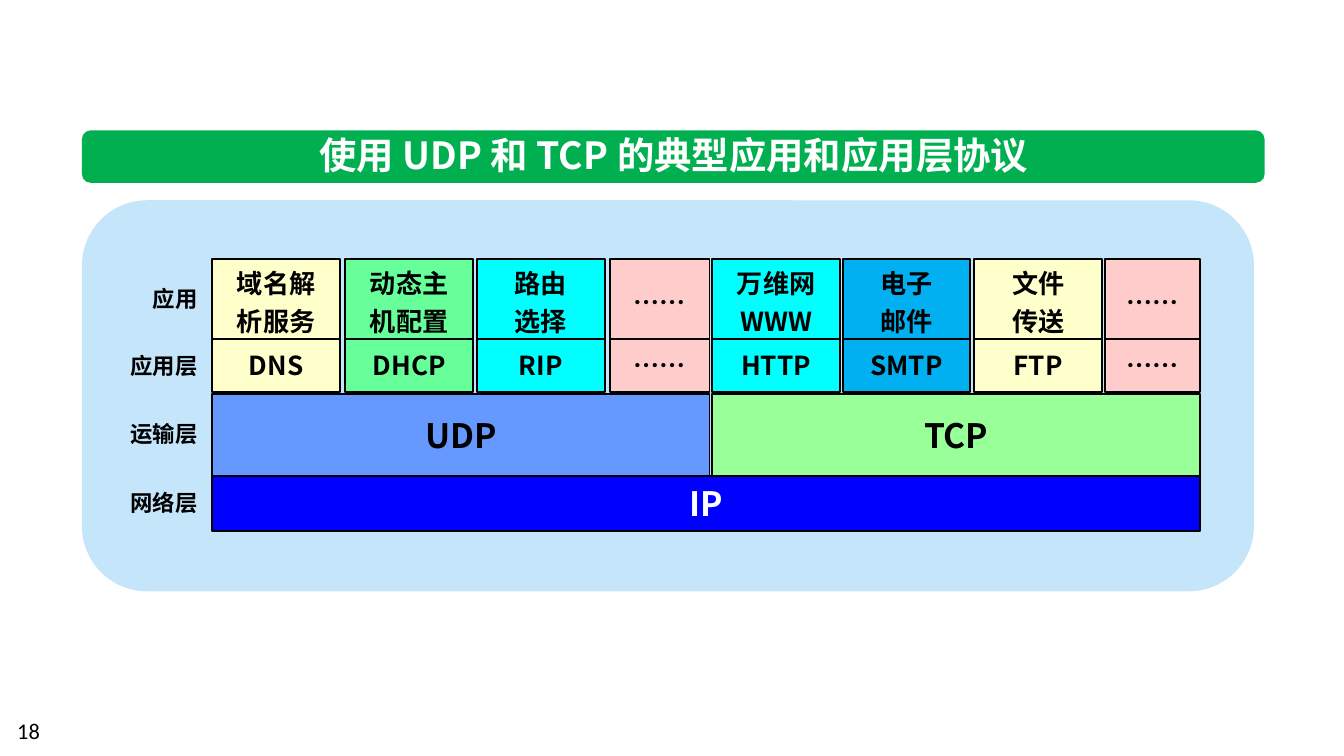
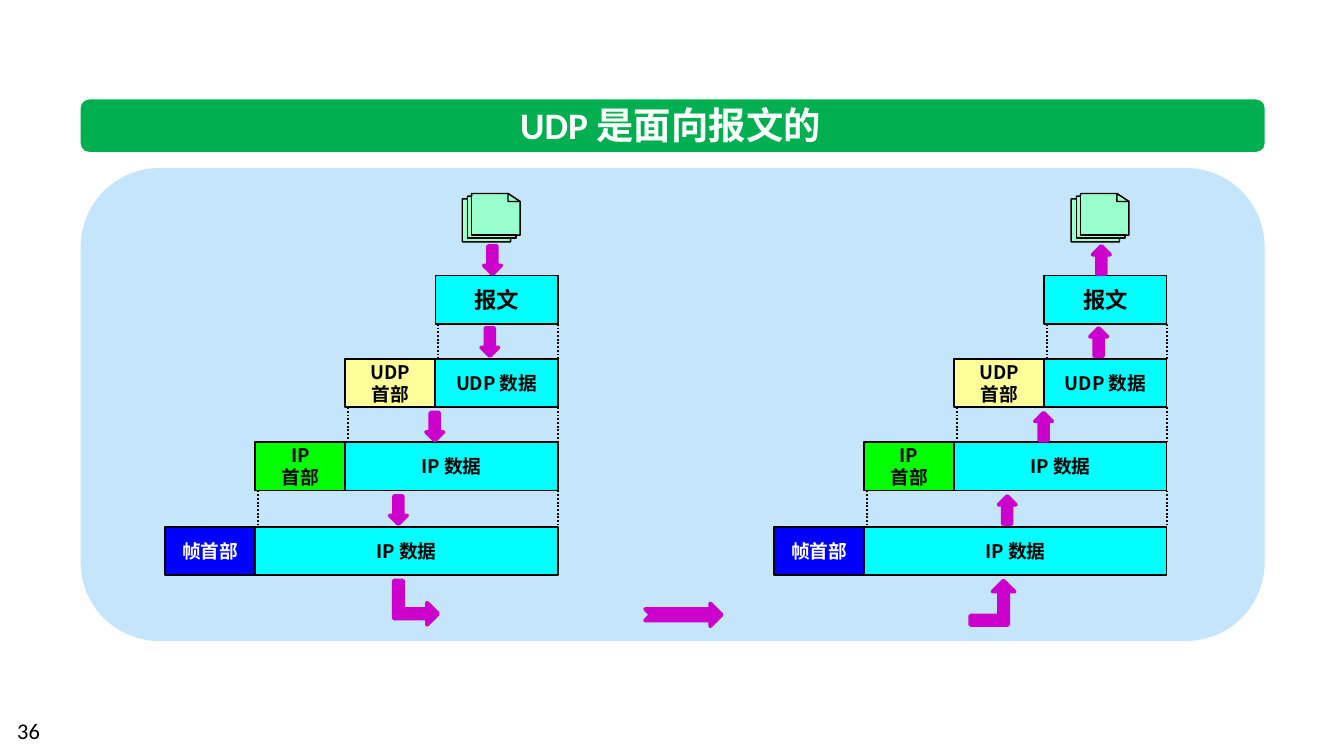
"""Build two slides on UDP: its place in the protocol stack and its message-oriented encapsulation."""
import lxml.etree
import pptx
import pptx.dml.color
import pptx.enum.dml
import pptx.enum.shapes
import pptx.enum.text
import pptx.oxml.ns
import pptx.util

PX = 9144
CJK = "Noto Sans CJK SC"
COLOURS = {
    "black": "000000", "white": "FFFFFF", "band": "00B050", "panel": "C5E5FB",
    "blue": "0000FF", "sky": "00B0F0", "cyan": "00FFFF", "periwinkle": "6699FF",
    "cream": "FFFFCC", "yellow": "FFFF99", "pink": "FFCCCC", "mint": "66FF99",
    "leaf": "99FF99", "lime": "00FF00", "paper": "99FFCC", "magenta": "CC00CC",
}
RGB = {name: pptx.dml.color.RGBColor.from_string(code) for name, code in COLOURS.items()}
SHAPE = pptx.enum.shapes.MSO_SHAPE
ALIGN = pptx.enum.text.PP_ALIGN
ANCHOR = pptx.enum.text.MSO_ANCHOR


def write(frame, text, size, colour="black", font=CJK, bold=True, align=ALIGN.CENTER,
          anchor=ANCHOR.MIDDLE, inset=10, inset_y=0, leading=None):
    """Fill a text frame, one paragraph per line of text."""
    frame_format = {
        "word_wrap": True, "auto_size": pptx.enum.text.MSO_AUTO_SIZE.NONE, "vertical_anchor": anchor,
        "margin_left": inset * PX, "margin_right": inset * PX,
        "margin_top": inset_y * PX, "margin_bottom": inset_y * PX,
    }
    for name, value in frame_format.items():
        setattr(frame, name, value)
    for number, line in enumerate(text.split("\n")):
        paragraph = frame.add_paragraph() if number else frame.paragraphs[0]
        paragraph.alignment = align
        if leading:
            paragraph.line_spacing = pptx.util.Pt(leading)
        run = paragraph.add_run()
        run.text = line
        run.font.color.rgb = RGB[colour]
        for name, value in {"size": pptx.util.Pt(size), "bold": bold, "name": font}.items():
            setattr(run.font, name, value)
        east_asian = lxml.etree.SubElement(run._r.get_or_add_rPr(), pptx.oxml.ns.qn("a:ea"))
        east_asian.set("typeface", CJK)


def draw(shapes, kind, at, fill, line=None, width=1):
    """Add a preset shape at (left, top, width, height) px."""
    shape = shapes.add_shape(kind, *[length * PX for length in at])
    shape.shadow.inherit = False
    shape.fill.solid()
    shape.fill.fore_color.rgb = RGB[fill]
    if line:
        shape.line.color.rgb = RGB[line]
        shape.line.width = pptx.util.Pt(width)
    else:
        shape.line.fill.background()
    return shape


deck = pptx.Presentation()
deck.slide_width = 1000 * PX
deck.slide_height = deck.slide_width * 9 // 16

pages = [
    ("使用 UDP 和 TCP 的典型应用和应用层协议", CJK, (220, 93, 563, 44),
     (61, 97, 880, 39), (61, 149, 872, 291), "18"),
    ("UDP 是面向报文的", "Calibri", (373, 71, 252, 44),
     (60, 74, 881, 39), (60, 125, 881, 352), "36"),
]
slides = []
for heading, heading_font, heading_at, band_at, panel_at, page_number in pages:
    slide = deck.slides.add_slide(deck.slide_layouts[5])
    title = slide.shapes.title
    for side, length in zip(("left", "top", "width", "height"), heading_at):
        setattr(title, side, length * PX)
    write(title.text_frame, heading, 20, "white", heading_font, inset=0)
    band = draw(slide.shapes, SHAPE.ROUNDED_RECTANGLE, band_at, "band")
    title._element.addprevious(band._element)
    draw(slide.shapes, SHAPE.ROUNDED_RECTANGLE, panel_at, "panel")
    footer = slide.shapes.add_textbox(3 * PX, 529 * PX, 233 * PX, 30 * PX)
    write(footer.text_frame, page_number, 12, font="Calibri", bold=False,
          align=ALIGN.LEFT, anchor=ANCHOR.TOP, inset_y=5)
    slides.append(slide)
stack_slide, message_slide = slides

network = draw(stack_slide.shapes, SHAPE.RECTANGLE, (158, 354, 735, 41), "blue", "black")
write(network.text_frame, "IP", 18, "white")

transports = [
    ("TCP", "leaf", 530, 893, 97.4, [
        ("万维网\nWWW", "HTTP", "cyan"), ("电子\n邮件", "SMTP", "sky"),
        ("文件\n传送", "FTP", "cream"), ("……", "……", "pink")]),
    ("UDP", "periwinkle", 158, 528, 98.7, [
        ("域名解析服务", "DNS", "cream"), ("动态主机配置", "DHCP", "mint"),
        ("路由\n选择", "RIP", "cyan"), ("……", "……", "pink")]),
]
for transport, transport_fill, left, right, pitch, applications in transports:
    stack = stack_slide.shapes.add_group_shape().shapes
    layer = draw(stack, SHAPE.RECTANGLE, (left, 293, right - left, 61), transport_fill, "black")
    write(layer.text_frame, transport, 18)
    for column, (application, protocol, fill) in enumerate(applications):
        x = left + round(pitch * column)
        width = min(95, right - x)
        protocol_cell = draw(stack, SHAPE.RECTANGLE, (x, 251, width, 41), fill, "black")
        write(protocol_cell.text_frame, protocol, 14)
        application_cell = draw(stack, SHAPE.RECTANGLE, (x, 193, width, 59), fill, "black")
        write(application_cell.text_frame, application, 14, leading=20)

for label, top in (("运输层", 308), ("网络层", 359), ("应用层", 257), ("应用", 207)):
    layer_label = stack_slide.shapes.add_textbox(69 * PX, top * PX, 88 * PX, 30 * PX)
    write(layer_label.text_frame, label, 12, align=ALIGN.RIGHT)

DATA_RIGHT, HEADER_WIDTH, ROW_HEIGHT, ROW_GAP = 415, 67, 36, 26
rows = [
    (205, 324, "报文", 12, None),
    (267, 324, "UDP 数据", 10, ("UDP\n首部", "yellow", "black")),
    (329, 257, "IP 数据", 10, ("IP\n首部", "lime", "black")),
    (392, 190, "IP 数据", 10, ("帧首部", "blue", "white")),
]
paper_outlines = [
    [(387, 150), (387, 175), (384, 175), (384, 177), (380, 177), (380, 180), (344, 180),
     (344, 148), (348, 148), (348, 146), (351, 146), (351, 144), (378, 144)],
    [(380, 177), (348, 177), (348, 146), (351, 146), (351, 175), (384, 175), (384, 177)],
    [(387, 150), (378, 150), (378, 144)],
]
hosts = [
    (0, SHAPE.DOWN_ARROW, 293, 90),
    (453, SHAPE.UP_ARROW, 722, 0),
]
for shift, arrow_kind, turn_left, turn_angle in hosts:
    host = message_slide.shapes.add_group_shape().shapes
    for outline in paper_outlines:
        points = [(x + shift, y) for x, y in outline]
        builder = host.build_freeform(*points[0], scale=PX)
        builder.add_line_segments(points[1:], close=True)
        paper = builder.convert_to_shape()
        paper.shadow.inherit = False
        paper.fill.solid()
        paper.fill.fore_color.rgb = RGB["paper"]
        paper.line.color.rgb = RGB["black"]
        paper.line.width = pptx.util.Pt(0.75)

    for top, left, content, size, header in rows:
        data_at = (left + shift, top, DATA_RIGHT - left, ROW_HEIGHT)
        data = draw(host, SHAPE.RECTANGLE, data_at, "cyan", "black")
        write(data.text_frame, content, size)
        outer_left = left
        if header:
            header_text, header_fill, header_colour = header
            outer_left = left - HEADER_WIDTH
            header_at = (outer_left + shift, top, HEADER_WIDTH, ROW_HEIGHT)
            header_cell = draw(host, SHAPE.RECTANGLE, header_at, header_fill, "black")
            write(header_cell.text_frame, header_text, 10, header_colour, leading=12)
        if top == rows[-1][0]:
            continue
        y = top + ROW_HEIGHT
        for x in (outer_left + 2 + shift, DATA_RIGHT + shift):
            guide = host.add_connector(pptx.enum.shapes.MSO_CONNECTOR.STRAIGHT,
                                       x * PX, y * PX, x * PX, (y + ROW_GAP) * PX)
            guide.line.color.rgb = RGB["black"]
            guide.line.width = pptx.util.Pt(1)
            guide.line.dash_style = pptx.enum.dml.MSO_LINE.ROUND_DOT
            lxml.etree.SubElement(guide._element.spPr, pptx.oxml.ns.qn("a:effectLst"))

    for x, y in ((360, 183), (358, 244), (317, 307), (290, 369)):
        draw(host, arrow_kind, (x + shift, y, 13, 21), "magenta", "magenta", 2)
    turn = draw(host, SHAPE.BENT_UP_ARROW, (turn_left, 432, 33, 33), "magenta", "magenta", 2)
    turn.rotation = turn_angle
    turn.adjustments[0] = 0.21

draw(message_slide.shapes, SHAPE.NOTCHED_RIGHT_ARROW, (480, 449, 57, 17), "magenta", "magenta", 2)

deck.save("out.pptx")
